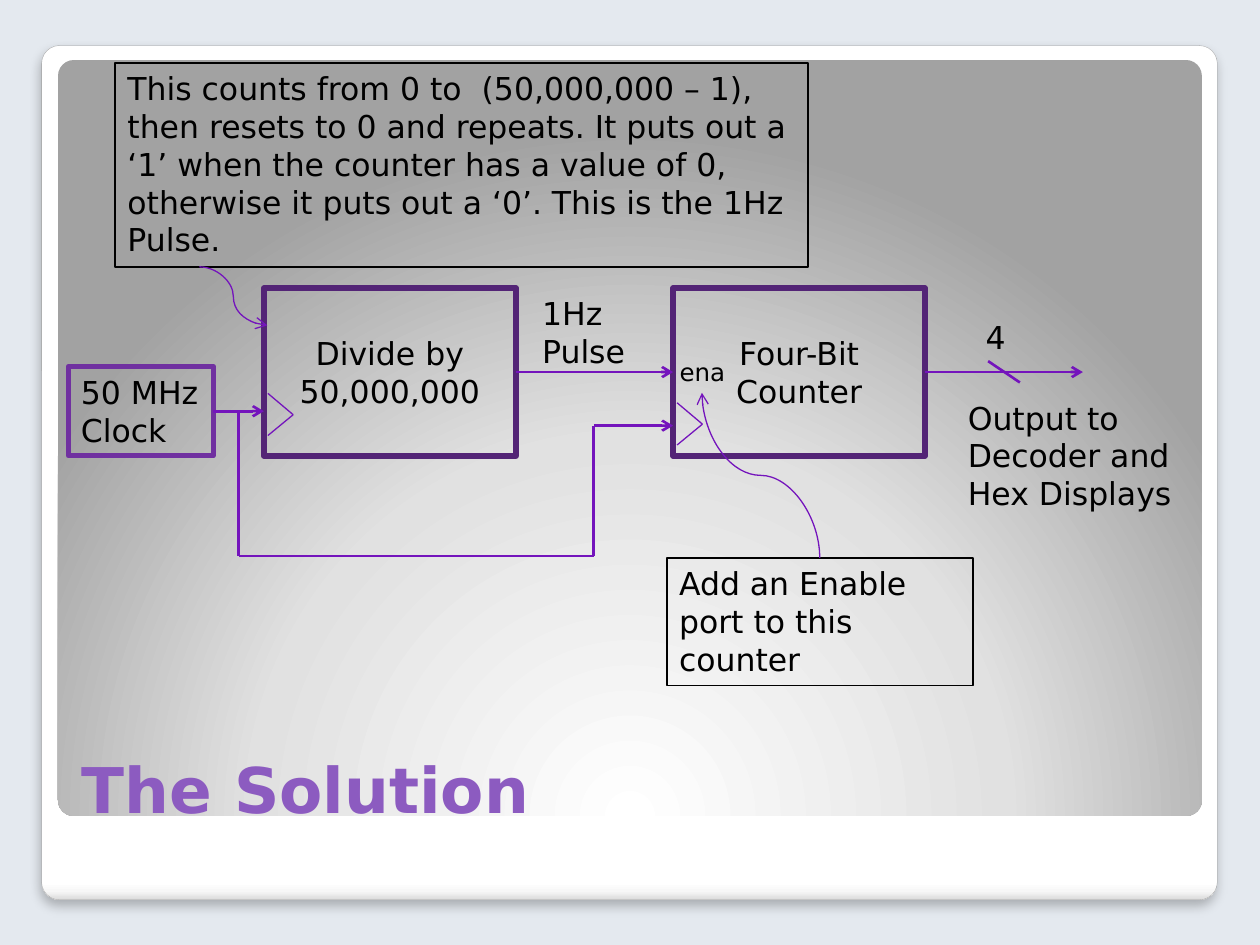
from itertools import pairwise

from lxml import etree
from pptx import Presentation
from pptx.dml import color
from pptx.enum import shapes, text
from pptx.oxml import ns
from pptx.util import Cm, Pt

FONT = "DejaVu Sans"
WIRE, BLOCK, CLOCK, BLACK, TITLE = "7414BC", "532476", "7030A0", "000000", "8C5BC0"


def rgb(value):
    """Turn a hex string into a colour."""
    return color.RGBColor.from_string(value)


def add_child(parent, tag, **attributes):
    """Append a drawing element with its attributes."""
    child = etree.SubElement(parent, ns.qn("a:" + tag))
    for name, value in attributes.items():
        child.set(name, str(value))
    return child


def outline(shape, value, width):
    """Give a shape or connector a solid line."""
    shape.line.color.rgb = rgb(value)
    shape.line.width = Pt(width)


def write(shape, words, size=18, value=BLACK, bold=False, align="LEFT", anchor="TOP", wrap=True):
    """Put formatted text into a shape, which grows with it if it does not wrap."""
    frame = shape.text_frame
    frame.word_wrap = wrap
    if not wrap:
        frame.auto_size = text.MSO_AUTO_SIZE.SHAPE_TO_FIT_TEXT
    frame.vertical_anchor = getattr(text.MSO_ANCHOR, anchor)
    paragraph = frame.paragraphs[0]
    paragraph.text = words.replace("\n", "\v")
    paragraph.alignment = getattr(text.PP_ALIGN, align)
    for run in paragraph.runs:
        run.font.name, run.font.size, run.font.bold = FONT, Pt(size), bold
        run.font.color.rgb = rgb(value)


def label(slide, box, words, **style):
    """Place free text in a box."""
    write(slide.shapes.add_textbox(*map(Cm, box)), words, **style)


def bordered(slide, box, words, value=BLACK, width=1, **style):
    """Place text in an unfilled rectangle with a border."""
    rectangle = slide.shapes.add_shape(shapes.MSO_SHAPE.RECTANGLE, *map(Cm, box))
    rectangle.shadow.inherit = False
    rectangle.fill.background()
    outline(rectangle, value, width)
    write(rectangle, words, **style)


def wire(slide, start, end, width=1.5, arrow=False, kind="STRAIGHT"):
    """Join two points with a connector."""
    connector = slide.shapes.add_connector(
        getattr(shapes.MSO_CONNECTOR, kind), *map(Cm, (*start, *end)))
    outline(connector, WIRE, width)
    if arrow:
        add_child(connector.line._get_or_add_ln(), "tailEnd", type="arrow")
    add_child(connector._element.spPr, "effectLst")
    return connector


def route(slide, points, width=1.5, arrow=False):
    """Join successive points, with an arrow on the last stretch if asked."""
    for start, end in pairwise(points):
        wire(slide, start, end, width, arrow and end == points[-1])


def rising_curve(slide, start, end):
    """Draw a curved arrow that leaves and arrives vertically."""
    middle_x, middle_y = (start[0] + end[0]) / 2, (start[1] + end[1]) / 2
    half_x, half_y = (start[0] - end[0]) / 2, (start[1] - end[1]) / 2
    curve = wire(slide, (middle_x - half_y, middle_y + half_x),
                 (middle_x + half_y, middle_y - half_x), 0.75, True, "CURVE")
    curve._element.spPr.find(ns.qn("a:xfrm")).set("rot", str(270 * 60000))


def rounded(slide, box, stops):
    """Place a rounded rectangle and return it with its gradient element."""
    shape = slide.shapes.add_shape(shapes.MSO_SHAPE.ROUNDED_RECTANGLE, *map(Cm, box))
    shape.adjustments[0] = 0.021
    shape.shadow.inherit = False
    shape.line.fill.background()
    shape.fill.gradient()
    gradient = shape._element.spPr.find(ns.qn("a:gradFill"))
    for child in list(gradient):
        gradient.remove(child)
    stop_list = add_child(gradient, "gsLst")
    for position, value in stops:
        add_child(add_child(stop_list, "gs", pos=position * 1000), "srgbClr", val=value)
    return shape, gradient


def backdrop(slide, box):
    """Place the white card and the grey panel on it."""
    left, top, width, height = box
    card, gradient = rounded(
        slide, box, [(0, "FFFFFF"), (98, "FFFFFF"), (99, "F7F7F7"), (100, "DADADA")])
    add_child(gradient, "lin", ang=90 * 60000, scaled=0)
    outline(card, "A4A4A4", 0.16)
    effects = card._element.spPr.find(ns.qn("a:effectLst"))
    shadow = add_child(effects, "outerShdw", blurRad=Pt(6), dist=Pt(4),
                       dir=90 * 60000, algn="t", rotWithShape=0)
    add_child(add_child(shadow, "srgbClr", val=BLACK), "alpha", val=25000)
    panel_box = (left + 0.33, top + 0.29, width - 0.64, height - 1.98)
    _, gradient = rounded(slide, panel_box, [(0, "FFFFFF"), (55, "E1E1E1"), (100, "A2A2A2")])
    add_child(add_child(gradient, "path", path="circle"),
              "fillToRect", l=50000, t=175000, r=50000, b=-75000)


def clocked_block(slide, box, words, notch):
    """Place a logic block with its clock notch at a height below its top."""
    left, top = box[:2]
    bordered(slide, box, words, BLOCK, 3.35, align="CENTER", anchor="MIDDLE")
    route(slide, [(left + 0.08, top + notch - 0.43), (left + 0.59, top + notch),
                  (left + 0.08, top + notch + 0.42)], 0.75)


def output_bus(slide, start):
    """Draw the four-bit output that begins at a point."""
    x, y = start
    wire(slide, start, (x + 3.18, y), arrow=True)
    wire(slide, (x + 1.27, y - 0.22), (x + 1.91, y + 0.21))
    label(slide, (x + 0.97, y - 1.21, 0.91, 1.02), "4", wrap=False)
    label(slide, (x + 0.61, y + 0.41, 4.65, 2.57),
          "Output to\nDecoder and\nHex Displays", wrap=False)


def circuit(slide, box):
    """Place the clock, both blocks and their wires."""
    left, top, width, height = box
    block_width = 5.08
    divider, counter = left + 3.94, left + 12.19
    middle = top + height / 2
    clock_y, return_y = top + 2.48, top + 5.4
    clock_right, branch, riser = left + 2.92, left + 3.43, left + 10.59
    clocked_block(slide, (divider, top, block_width, height), "Divide by 50,000,000", 2.55)
    clocked_block(slide, (counter, top, block_width, height), "Four-Bit\nCounter", 2.74)
    wire(slide, (divider + block_width, middle), (counter, middle), arrow=True)
    output_bus(slide, (left + width, middle))
    bordered(slide, (left, top + 1.58, 2.92, 1.8), "50 MHz\nClock", CLOCK, 3, wrap=False)
    label(slide, (left + 9.3, top, 2.21, 1.8), "1Hz\nPulse", wrap=False)
    label(slide, (counter - 0.12, top + 1.26, 1.46, 0.86), "ena", size=14, wrap=False)
    wire(slide, (clock_right, clock_y), (divider, clock_y), arrow=True)
    route(slide, [(branch, clock_y), (branch, return_y), (riser, return_y),
                  (riser, top + 2.77), (counter, top + 2.77)], arrow=True)


def notes_on_blocks(slide, divider_note, enable_note):
    """Place both explanations and the curves to what they explain."""
    bordered(slide, divider_note,
             "This counts from 0 to  (50,000,000 – 1),  then resets to 0 and repeats. "
             "It puts out a ‘1’ when the counter has a value of 0, otherwise it puts out "
             "a ‘0’. This is the 1Hz Pulse.")
    left, top, _, height = divider_note
    bottom = top + height
    wire(slide, (left + 1.7, bottom), (left + 3.07, bottom + 1.18), 0.75, True, "CURVE")
    bordered(slide, enable_note, "Add an Enable port to this counter")
    left, top, width, _ = enable_note
    rising_curve(slide, (left + width / 2, top), (left + 0.71, top - 3.33))


def solution_slide(deck):
    """Build the slide with the solution."""
    slide = deck.slides.add_slide(deck.slide_layouts[6])
    slide.background.fill.solid()
    slide.background.fill.fore_color.rgb = rgb("E4E9EF")
    backdrop(slide, (0.84, 0.92, 23.7, 17.22))
    label(slide, (1.4, 13.85, 22.73, 2.92), "The Solution",
          size=36, value=TITLE, bold=True, anchor="BOTTOM")
    circuit(slide, (1.38, 5.81, 17.27, 3.38))
    notes_on_blocks(slide, (2.32, 1.27, 13.97, 4.11), (13.44, 11.25, 6.17, 2.57))


deck = Presentation()
deck.slide_width, deck.slide_height = Cm(25.4), Cm(19.05)
solution_slide(deck)
deck.save("out.pptx")
